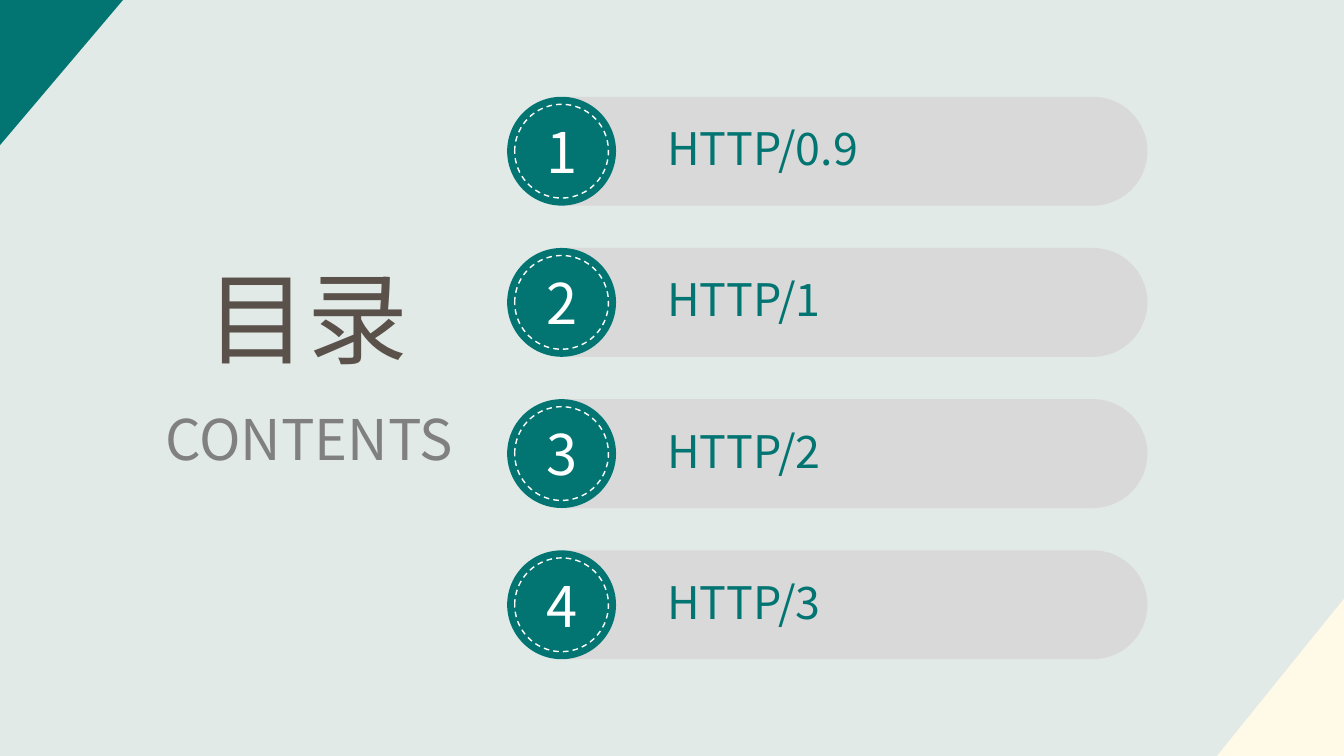
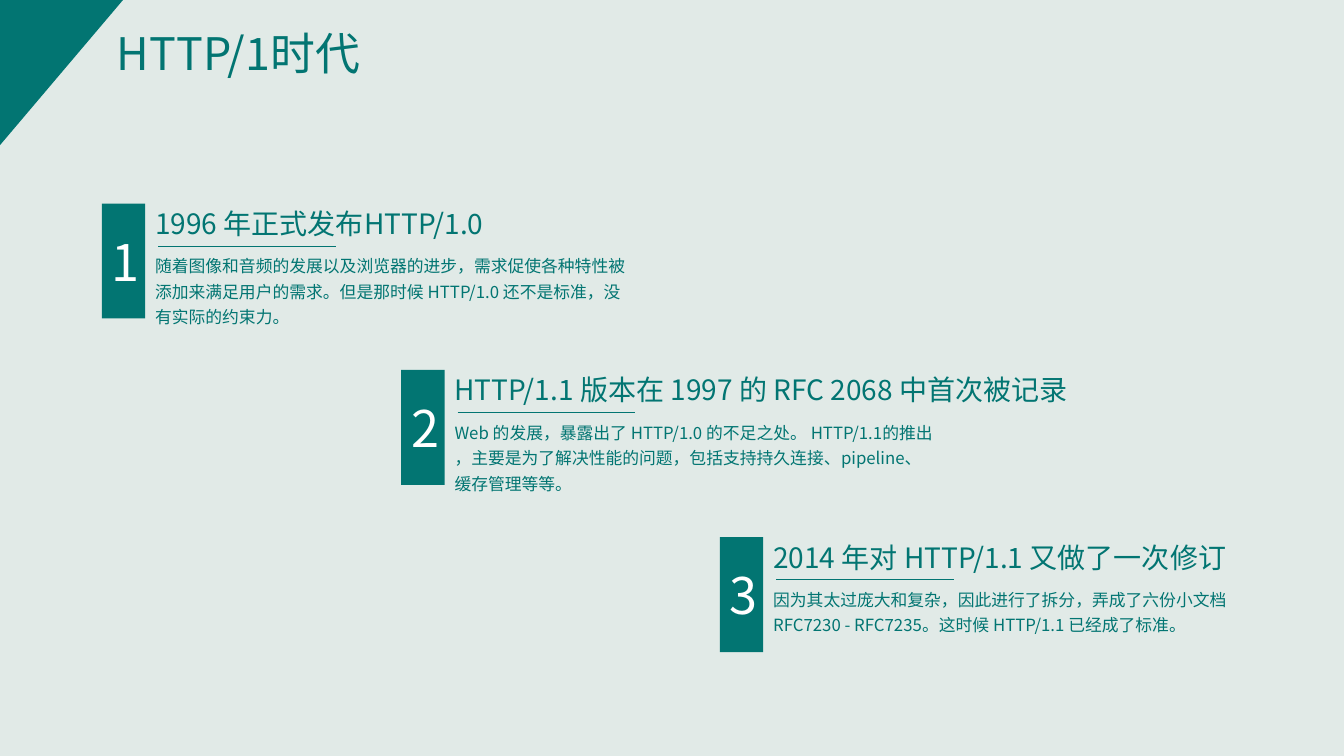
from pptx import Presentation
from pptx.dml.color import RGBColor
from pptx.enum.dml import MSO_LINE
from pptx.enum.shapes import MSO_CONNECTOR, MSO_SHAPE
from pptx.enum.text import MSO_ANCHOR, MSO_AUTO_SIZE, PP_ALIGN
from pptx.oxml.ns import qn
from pptx.util import Inches, Pt

DASH = MSO_LINE.DASH
STRAIGHT = MSO_CONNECTOR.STRAIGHT
TRIANGLE = MSO_SHAPE.RIGHT_TRIANGLE
ROUND_END = MSO_SHAPE.ROUND_2_SAME_RECTANGLE
OVAL = MSO_SHAPE.OVAL
RECTANGLE = MSO_SHAPE.RECTANGLE
MIDDLE = MSO_ANCHOR.MIDDLE
GROW = MSO_AUTO_SIZE.SHAPE_TO_FIT_TEXT
CENTER = PP_ALIGN.CENTER

WIDTH, HEIGHT = 13.33, 7.5
FONT = "Noto Sans CJK SC"
COLORS = {
    "background": "E1EAE7",
    "teal": "027572",
    "cream": "FFF9E7",
    "bar": "D9D9D9",
    "brown": "5A514A",
    "gray": "808080",
    "white": "FFFFFF",
}

CONTENTS = ["HTTP/0.9", "HTTP/1", "HTTP/2", "HTTP/3"]

ERA_TITLE = "HTTP/1时代"
# left, top, heading, body
MILESTONES = [
    (1.01, 2.02, "1996 年正式发布HTTP/1.0",
     "随着图像和音频的发展以及浏览器的进步，需求促使各种特性被添加来满足用户的需求。"
     "但是那时候 HTTP/1.0 还不是标准，没有实际的约束力。"),
    (3.98, 3.67, "HTTP/1.1 版本在 1997 的 RFC 2068 中首次被记录",
     "Web 的发展，暴露出了 HTTP/1.0 的不足之处。 HTTP/1.1的推出 ，"
     "主要是为了解决性能的问题，包括支持持久连接、pipeline、缓存管理等等。"),
    (7.14, 5.33, "2014 年对 HTTP/1.1 又做了一次修订",
     "因为其太过庞大和复杂，因此进行了拆分，弄成了六份小文档 RFC7230 - RFC7235。"
     "这时候 HTTP/1.1 已经成了标准。"),
]


def color(name):
    return RGBColor.from_string(COLORS[name])


def write(frame, text, size, ink="teal", **paragraph_format):
    para = frame.paragraphs[0]
    for name, value in paragraph_format.items():
        setattr(para, name, value)
    span = para.add_run()
    span.text = text
    for name, value in {"name": FONT, "size": Pt(size)}.items():
        setattr(span.font, name, value)
    span.font.color.rgb = color(ink)
    east_asian = span.font._element.makeelement(qn("a:ea"), {"typeface": FONT})
    span.font._element.append(east_asian)


def add_text(page, bounds, text, size, ink="teal", wrap=True, **paragraph_format):
    box = page.shapes.add_textbox(*map(Inches, bounds))
    box.text_frame.word_wrap = wrap
    box.text_frame.auto_size = GROW
    write(box.text_frame, text, size, ink, **paragraph_format)


def add_shape(page, kind, bounds, fill=None, rotation=0):
    """Add a flat shape; bounds are those seen after a quarter turn."""
    left, top, width, height = bounds
    if rotation in (90, 270):
        left, top = left + (width - height) / 2, top + (height - width) / 2
        width, height = height, width
    shape = page.shapes.add_shape(kind, *map(Inches, (left, top, width, height)))
    shape.rotation = rotation
    shape.shadow.inherit = False
    shape.line.fill.background()
    if fill:
        shape.fill.solid()
        shape.fill.fore_color.rgb = color(fill)
    else:
        shape.fill.background()
    return shape


def add_number(page, kind, bounds, number, size):
    badge = add_shape(page, kind, bounds, "teal")
    badge.text_frame.vertical_anchor = MIDDLE
    write(badge.text_frame, str(number), size, "white", alignment=CENTER)


def add_rule(page, left, top, width):
    rule = page.shapes.add_connector(
        STRAIGHT, *map(Inches, (left, top, left + width, top)))
    rule.line.color.rgb = color("teal")
    rule.line.width = Pt(0.5)
    properties = rule._element.spPr
    properties.append(properties.makeelement(qn("a:effectLst"), {}))


def add_page(deck):
    page = deck.slides.add_slide(deck.slide_layouts[6])
    add_shape(page, TRIANGLE, (0, 0, 1.22, 1.44), "teal", 90)
    return page


def build_contents(deck):
    page = add_page(deck)
    width, height = 1.26, 1.56
    add_shape(page, TRIANGLE, (WIDTH - width, HEIGHT - height, width, height), "cream", 270)
    add_text(page, (1.95, 2.49, 2.26, 1.31), "目录", 72, "brown")
    add_text(page, (1.54, 3.76, 3.05, 0.97), "CONTENTS", 40, "gray",
             wrap=False, alignment=CENTER, line_spacing=1.3)

    left, first_top, pitch, diameter, inset = 5.03, 0.96, 1.5, 1.08, 0.075
    for index, entry in enumerate(CONTENTS):
        top = first_top + index * pitch
        bar = add_shape(page, ROUND_END, (5.59, top, 5.79, diameter), "bar", 90)
        bar.adjustments[0], bar.adjustments[1] = 0.5, 0
        add_number(page, OVAL, (left, top, diameter, diameter), index + 1, 40)
        ring_size = diameter - 2 * inset
        ring = add_shape(page, OVAL, (left + inset, top + inset, ring_size, ring_size))
        ring.line.color.rgb = color("white")
        ring.line.width = Pt(1)
        ring.line.dash_style = DASH
        add_text(page, (6.52, top + 0.19, 3.36, 0.64), entry, 32)


def build_era(deck):
    page = add_page(deck)
    add_text(page, (1.06, 0.21, 5.57, 0.64), ERA_TITLE, 32)
    badge_width, badge_height, rule_drop = 0.43, 1.14, 0.42
    for number, (left, top, heading, body) in enumerate(MILESTONES, 1):
        text_left = left + badge_width
        add_number(page, RECTANGLE, (left, top, badge_width, badge_height), number, 36)
        add_rule(page, text_left + 0.13, top + rule_drop, 1.76)
        heading_width = min(7.32, WIDTH - text_left)
        add_text(page, (text_left, top - 0.02, heading_width, 0.44), heading, 20)
        add_text(page, (text_left, top + rule_drop, 4.94, 0.86), body, 12, line_spacing=1.26)


def main():
    deck = Presentation()
    deck.slide_width, deck.slide_height = Inches(WIDTH), Inches(HEIGHT)
    background = deck.slide_master.background.fill
    background.solid()
    background.fore_color.rgb = color("background")
    build_contents(deck)
    build_era(deck)
    deck.save("out.pptx")


if __name__ == "__main__":
    main()
